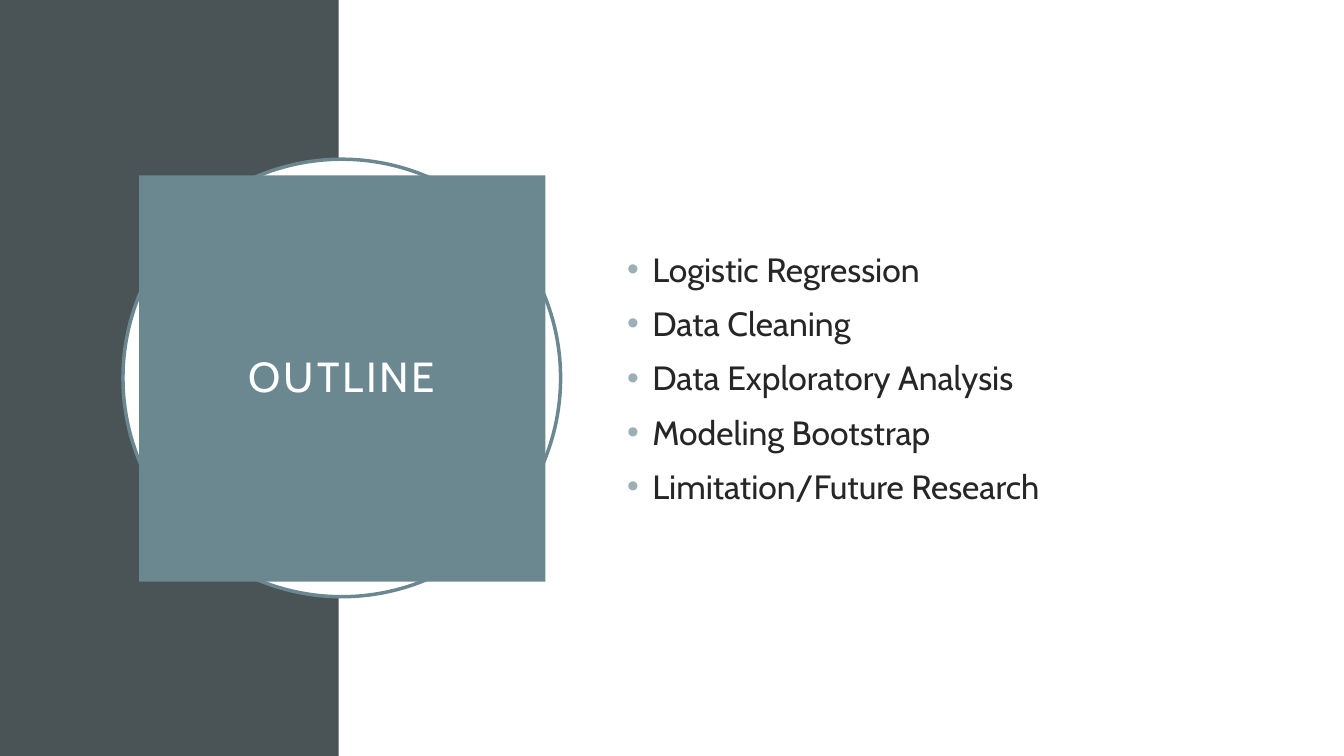
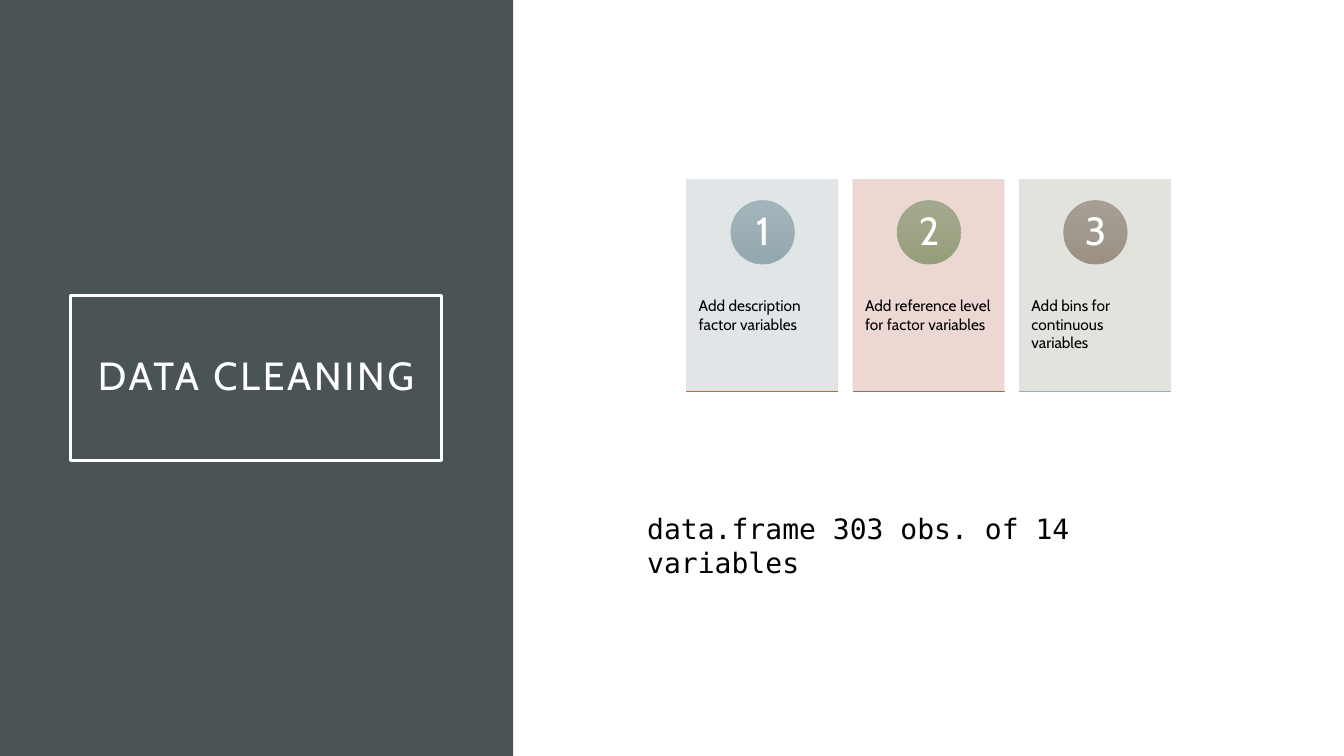
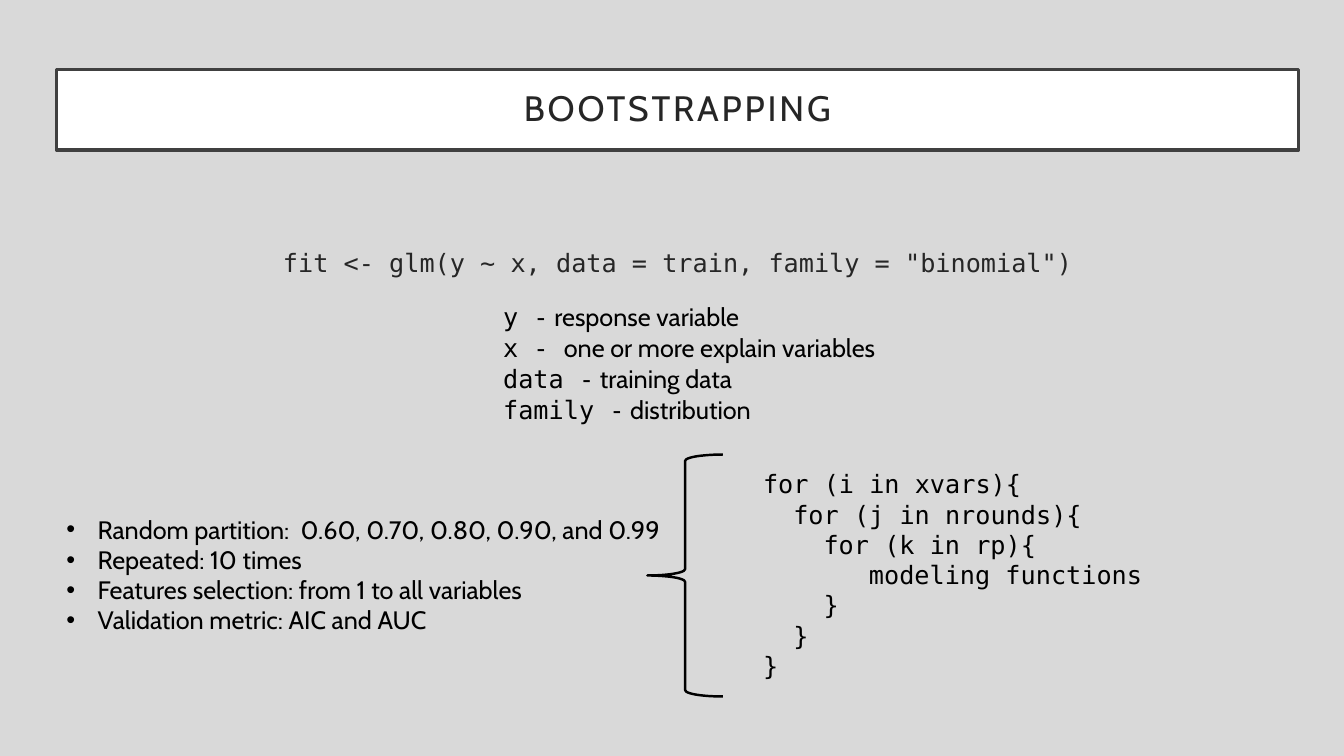
"""Build three slides on an analysis: outline, data cleaning and bootstrapping."""
from lxml.etree import SubElement
from pptx import Presentation
from pptx.dml.color import RGBColor
from pptx.enum.shapes import MSO_SHAPE as SHAPE
from pptx.enum.text import MSO_ANCHOR as ANCHOR, MSO_AUTO_SIZE as AUTO_SIZE, PP_ALIGN as ALIGN
from pptx.oxml.ns import qn
from pptx.util import Inches, Pt

SANS, MONO = "Cabin", "DejaVu Sans Mono"
TITLE_AND_BODY, TITLE_ONLY = 1, 5
NO_TABLE_STYLE = "{2D5ABB26-0587-4C30-8999-92F81FD0307C}"
COLORS = {
    "white": "FFFFFF", "black": "000000", "ink": "262626", "slate": "4A5356",
    "teal": "6B8891", "bullet": "9BAFB5", "paper": "D9D9D9", "frame": "404040",
}

OUTLINE = [
    "Logistic Regression", "Data Cleaning", "Data Exploratory Analysis",
    "Modeling Bootstrap", "Limitation/Future Research",
]
STEPS = [
    {"text": "Add description factor variables", "card": "DEE3E5",
     "badge": ("A3B5BB", "93A9AF", "9BAFB5"), "rule": ("CC734B", "C86128", "C96731")},
    {"text": "Add reference level for factor variables", "card": "EBD3CE",
     "badge": ("A3A98C", "979E7C", "9CA383"), "rule": ("8F8269", "847557", "87795D")},
    {"text": "Add bins for continuous variables", "card": "DEE0D9",
     "badge": ("A79F95", "9B9285", "A0988C"), "rule": ("A3B5BB", "93A9AF", "9BAFB5")},
]
DATA_SIZE = "data.frame 303 obs. of 14 variables"
MODEL = 'fit <- glm(y ~ x, data = train, family = "binomial")'
ARGUMENTS = [
    ("y -", " response variable"), ("x - ", "one or more explain variables"),
    ("data -", " training data"), ("family -", " distribution"),
]
SETTINGS = [
    "Random partition:  0.60, 0.70, 0.80, 0.90, and 0.99", "Repeated: 10 times",
    "Features selection: from 1 to all variables", "Validation metric: AIC and AUC",
]
LOOP = [
    (0, "for (i in xvars){"), (2, "for (j in nrounds){"), (4, "for (k in rp){"),
    (7, "modeling functions"), (4, "}"), (2, "}"), (0, "}"),
]


def rgb(color):
    return RGBColor.from_string(COLORS.get(color, color))


def place(shape, *bounds):
    shape.left, shape.top, shape.width, shape.height = map(Inches, bounds)


def write(frame, paragraphs, size=18, font=SANS, color="black", align=ALIGN.LEFT,
          anchor=ANCHOR.TOP, insets=(0.1, 0.05), line=1.0, before=0, tracking=0,
          indents=None, hanging=0, bullet=None, grow=False):
    """Fill a text frame; a paragraph is a string or a list of (text, font) runs."""
    frame.word_wrap = True
    frame.auto_size = AUTO_SIZE.SHAPE_TO_FIT_TEXT if grow else AUTO_SIZE.NONE
    frame.vertical_anchor = anchor
    frame.margin_left = frame.margin_right = Inches(insets[0])
    frame.margin_top = frame.margin_bottom = Inches(insets[1])
    for index, content in enumerate(paragraphs):
        para = frame.add_paragraph() if index else frame.paragraphs[0]
        para.alignment, para.line_spacing = align, line
        para.space_before, para.space_after = Pt(before), Pt(0)
        layout = para._p.get_or_add_pPr()
        layout.set("marL", str(Inches(indents[index] if indents else hanging)))
        layout.set("indent", str(-Inches(hanging)))
        if bullet:
            tint = SubElement(layout, qn("a:buClr"))
            SubElement(tint, qn("a:srgbClr"), val=COLORS[bullet])
            SubElement(layout, qn("a:buFont"), typeface="Arial")
            SubElement(layout, qn("a:buChar"), char="•")
        else:
            SubElement(layout, qn("a:buNone"))
        for text, face in [(content, font)] if isinstance(content, str) else content:
            span = para.add_run()
            span.text = text
            span.font.name, span.font.size = face, Pt(size)
            span.font.color.rgb = rgb(color)
            if tracking:
                span.font._element.set("spc", str(tracking * 100))


def paint(shape, fill=None, line=None, width=2.5):
    """Fill with nothing, one colour or a (top, bottom) gradient, then outline."""
    if fill is None:
        shape.fill.background()
    elif isinstance(fill, str):
        shape.fill.solid()
        shape.fill.fore_color.rgb = rgb(fill)
    else:
        shape.fill.gradient()
        shape.fill.gradient_angle = 270
        for stop, color in zip(shape.fill.gradient_stops, fill):
            stop.color.rgb = rgb(color)
    if line:
        shape.line.color.rgb = rgb(line)
        shape.line.width = Pt(width)
    else:
        shape.line.fill.background()


def add_shape(page, kind, bounds, **look):
    shape = page.shapes.add_shape(kind, *map(Inches, bounds))
    shape.shadow.inherit = False
    paint(shape, **look)
    return shape


def add_text(page, bounds, paragraphs, **style):
    box = page.shapes.add_textbox(*map(Inches, bounds))
    write(box.text_frame, paragraphs, **style)


def add_page(deck, layout, background):
    page = deck.slides.add_slide(deck.slide_layouts[layout])
    page.background.fill.solid()
    page.background.fill.fore_color.rgb = rgb(background)
    return page


def set_title(page, text, bounds, size, color="white", **look):
    title = page.shapes.title
    place(title, *bounds)
    paint(title, **look)
    write(title.text_frame, [text], size=size, color=color, align=ALIGN.CENTER,
          anchor=ANCHOR.MIDDLE, insets=(0.2, 0.2), line=0.9, tracking=2)
    page.shapes.element.append(title.element)


def set_body(page, bounds, paragraphs, **style):
    body = page.placeholders[1]
    place(body, *bounds)
    write(body.text_frame, paragraphs, color="ink", before=10, **style)
    page.shapes.element.append(body.element)


def add_band(page, width):
    add_shape(page, SHAPE.RECTANGLE, (0, 0, width, 7.5), fill="slate")


def add_step(page, number, step):
    left, top, width, height = 6.81 + 1.65 * (number - 1), 1.78, 1.5, 2.1
    card = add_shape(page, SHAPE.RECTANGLE, (left, top, width, height),
                     fill=step["card"], line=step["card"], width=0.5)
    for color in card.element.spPr.iter(qn("a:srgbClr")):
        SubElement(color, qn("a:alpha"), val="90000")
    add_text(page, (left, top + 0.8, width, 1.26), [step["text"]],
             size=11, insets=(0.12, 0.36))
    *shades, edge = step["badge"]
    add_shape(page, SHAPE.OVAL, (left + 0.44, top + 0.21, 0.63, 0.63),
              fill=shades, line=edge, width=0.5)
    add_text(page, (left + 0.53, top + 0.3, 0.45, 0.45), [str(number)], size=28,
             color="white", align=ALIGN.CENTER, anchor=ANCHOR.MIDDLE,
             insets=(0.05, 0.01), line=0.9)
    *shades, edge = step["rule"]
    add_shape(page, SHAPE.RECTANGLE, (left, top + height, width, 0),
              fill=shades, line=edge, width=0.5)


def build_outline(deck):
    page = add_page(deck, TITLE_AND_BODY, "white")
    add_band(page, 3.36)
    add_shape(page, SHAPE.OVAL, (1.22, 1.58, 4.34, 4.34), fill="white", line="teal")
    set_title(page, "OUTLINE", (1.38, 1.74, 4.03, 4.03), 30, fill="teal")
    set_body(page, (6.12, 1.53, 5.82, 4.43), OUTLINE, size=24,
             anchor=ANCHOR.MIDDLE, hanging=0.25, bullet="bullet")


def build_cleaning(deck):
    page = add_page(deck, TITLE_ONLY, "white")
    add_band(page, 5.09)
    set_title(page, "DATA CLEANING", (0.7, 2.93, 3.68, 1.64), 28, line="white")
    for number, step in enumerate(STEPS, 1):
        add_step(page, number, step)
    add_text(page, (6.32, 5.03, 5.78, 0.44), [DATA_SIZE], size=20, font=MONO, grow=True)


def build_bootstrapping(deck):
    page = add_page(deck, TITLE_AND_BODY, "paper")
    set_title(page, "BOOTSTRAPPING", (0.56, 0.69, 12.32, 0.8), 25.2, color="ink",
              fill="white", line="frame")
    set_body(page, (0.56, 2.4, 12.32, 0.5), [MODEL], font=MONO, align=ALIGN.CENTER)

    holder = page.shapes.add_table(1, 1, *map(Inches, (4.39, 2.95, 4.56, 1.49)))
    table = holder.table
    table.first_row = table.horz_banding = False
    for style in holder.element.iter(qn("a:tableStyleId")):
        style.text = NO_TABLE_STYLE
    cell = table.cell(0, 0)
    cell.fill.background()
    write(cell.text_frame, [[(name, MONO), (meaning, SANS)] for name, meaning in ARGUMENTS],
          indents=[0.5] * len(ARGUMENTS))

    add_text(page, (0.56, 5.05, 6.23, 1.31), SETTINGS, hanging=0.31, bullet="black", grow=True)
    add_text(page, (7.47, 4.6, 4, 2.22), [code for _, code in LOOP], font=MONO,
             indents=[0.15 * column for column, _ in LOOP], grow=True)
    add_shape(page, SHAPE.LEFT_BRACE, (6.42, 4.51, 0.75, 2.4), line="black", width=1.75)


def main():
    deck = Presentation()
    deck.slide_width, deck.slide_height = Inches(13.33), Inches(7.5)
    build_outline(deck)
    build_cleaning(deck)
    build_bootstrapping(deck)
    deck.save("out.pptx")


if __name__ == "__main__":
    main()
